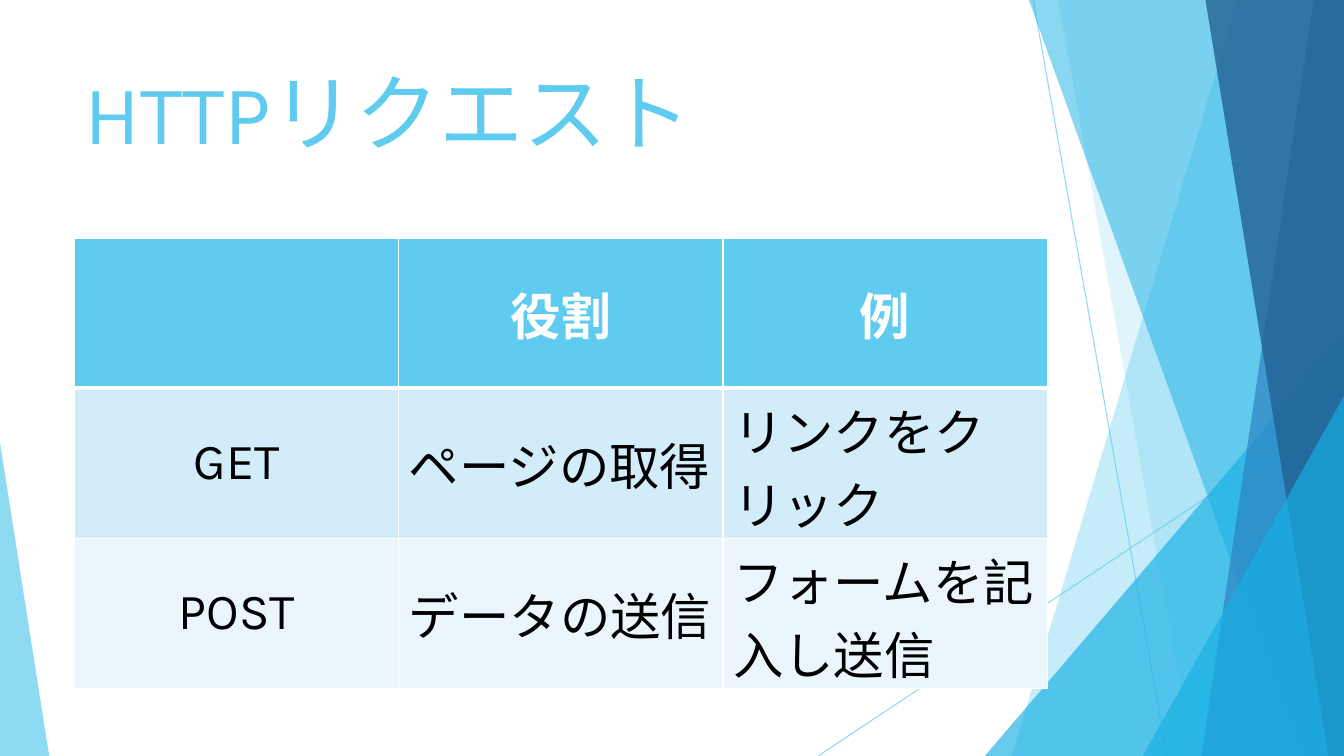
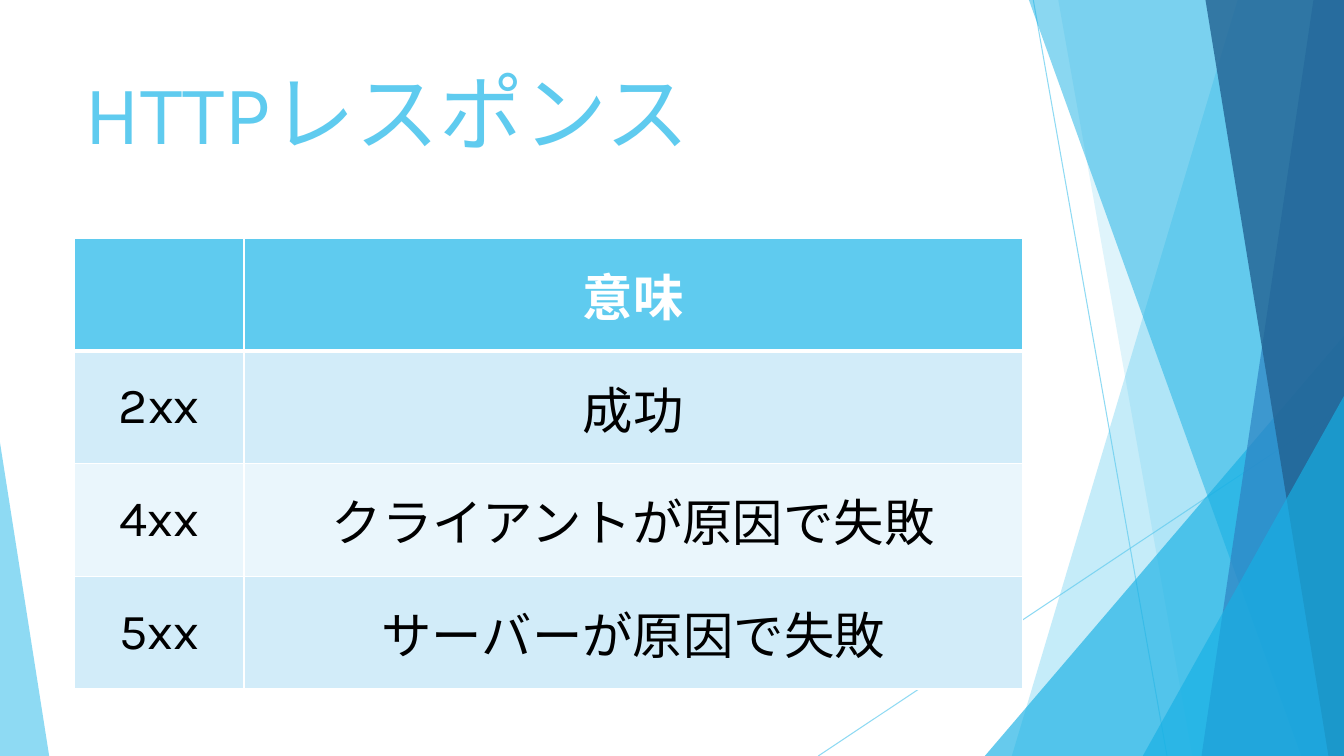
from pptx import Presentation
from pptx.dml.color import RGBColor
from pptx.enum import shapes, text
from pptx.oxml import ns, xmlchemy
from pptx.util import Cm, Pt

SKY = RGBColor(0x5F, 0xCB, 0xEF)
CYAN = RGBColor(0x17, 0xB0, 0xE4)
BLUE = RGBColor(0x2E, 0x83, 0xC3)
NAVY = RGBColor(0x22, 0x62, 0x92)
BAND_DARK = RGBColor(0xD2, 0xEC, 0xF9)
BAND_LIGHT = RGBColor(0xEA, 0xF6, 0xFC)
WHITE = RGBColor(0xFF, 0xFF, 0xFF)
BLACK = RGBColor(0, 0, 0)

FONT = "Karla"
WIDTH, HEIGHT = 33.87, 19.05
LEFT = 1.88
CENTER, START = text.PP_ALIGN.CENTER, text.PP_ALIGN.LEFT

# Facets from back to front: the edge of a band runs from its top x to its
# bottom x; a triangle stands on the bottom edge (left, top, width, apex)
FACETS = [
    ("band", (31.19, 25.5), SKY, 36),
    ("band", (26.67, 30.05), SKY, 20),
    ("triangle", (24.82, 8.46, 9.05, 1), CYAN, 66),
    ("band", (25.93, 32.79), CYAN, 50),
    ("band", (33.1, 30.28), BLUE, 70),
    ("band", (30.38, 33.48), NAVY, 80),
    ("triangle", (28.8, 9.98, 5.07, 1), CYAN, 66),
    ("triangle", (0, 11.15, 1.24, 0), SKY, 70),
]
RAYS = [(26.04, 0, 29.41, HEIGHT), (WIDTH, 10.23, 20.62, HEIGHT)]

# Title, column widths, row height, column alignments, table rows
PAGES = [
    ("HTTPリクエスト", [8.17, 8.17, 8.17], 3.78, [CENTER, START, START], [
        ["", "役割", "例"],
        ["GET", "ページの取得", "リンクをクリック"],
        ["POST", "データの送信", "フォームを記入し送信"],
    ]),
    ("HTTPレスポンス", [4.27, 19.61], 2.84, [CENTER, CENTER], [
        ["", "意味"],
        ["2xx", "成功"],
        ["4xx", "クライアントが原因で失敗"],
        ["5xx", "サーバーが原因で失敗"],
    ]),
]


def write(frame, words, size=36, color=BLACK, bold=False, align=START, spacing=1.0):
    para = frame.paragraphs[0]
    para.alignment = align
    para.line_spacing = spacing
    span = para.add_run()
    span.text = words
    span.font.name = FONT
    span.font.size = Pt(size)
    span.font.bold = bold
    span.font.color.rgb = color


def fade(shape, opacity):
    for color in shape._element.spPr.iter(ns.qn("a:srgbClr")):
        alpha = xmlchemy.OxmlElement("a:alpha")
        alpha.set("val", str(opacity * 1000))
        color.append(alpha)


deck = Presentation()
deck.slide_width, deck.slide_height = Cm(WIDTH), Cm(HEIGHT)

for title, widths, row_height, aligns, rows in PAGES:
    page = deck.slides.add_slide(deck.slide_layouts[6])

    # Thin rays behind the facets
    for ray in RAYS:
        line = page.shapes.add_connector(
            shapes.MSO_CONNECTOR.STRAIGHT, *[Cm(value) for value in ray])
        line.line.color.rgb = SKY
        line.line.width = Pt(0.75)
        fade(line, 70)
        line._element.spPr.append(xmlchemy.OxmlElement("a:effectLst"))

    # Translucent facets
    for kind, place, color, opacity in FACETS:
        if kind == "band":
            top_x, bottom_x = place
            outline = page.shapes.build_freeform(Cm(top_x), 0)
            outline.add_line_segments([
                (Cm(WIDTH), 0), (Cm(WIDTH), Cm(HEIGHT)), (Cm(bottom_x), Cm(HEIGHT))])
            facet = outline.convert_to_shape()
        else:
            left, top, width, apex = place
            facet = page.shapes.add_shape(
                shapes.MSO_SHAPE.ISOSCELES_TRIANGLE,
                Cm(left), Cm(top), Cm(width), Cm(HEIGHT - top))
            facet.adjustments[0] = apex
        facet.shadow.inherit = False
        facet.line.fill.background()
        facet.fill.solid()
        facet.fill.fore_color.rgb = color
        fade(facet, opacity)

    # Title
    box = page.shapes.add_textbox(Cm(LEFT), Cm(1.7), Cm(23.88), Cm(3.66))
    box.text_frame.word_wrap = True
    write(box.text_frame, title, size=60, color=SKY, spacing=0.9)

    # Table
    table = page.shapes.add_table(
        len(rows), len(widths), Cm(LEFT), Cm(6),
        Cm(sum(widths)), Cm(row_height * len(rows))).table
    for column, width in zip(table.columns, widths):
        column.width = Cm(width)
    for r, row in enumerate(rows):
        table.rows[r].height = Cm(row_height)
        header = r == 0
        for c, words in enumerate(row):
            cell = table.cell(r, c)
            cell.vertical_anchor = text.MSO_ANCHOR.MIDDLE
            if words:
                write(cell.text_frame, words, color=WHITE if header else BLACK,
                      bold=header, align=CENTER if header else aligns[c])
            cell.fill.solid()
            cell.fill.fore_color.rgb = (
                SKY if header else BAND_DARK if r % 2 else BAND_LIGHT)

            # White borders, thicker below the header
            edges = {"L": 1, "R": 1, "T": 3 if r == 1 else 1, "B": 3 if header else 1}
            for index, (side, points) in enumerate(edges.items()):
                border = xmlchemy.OxmlElement(f"a:ln{side}")
                border.set("w", str(Pt(points)))
                paint = xmlchemy.OxmlElement("a:solidFill")
                tint = xmlchemy.OxmlElement("a:srgbClr")
                tint.set("val", str(WHITE))
                paint.append(tint)
                border.append(paint)
                cell._tc.get_or_add_tcPr().insert(index, border)

deck.save("out.pptx")
